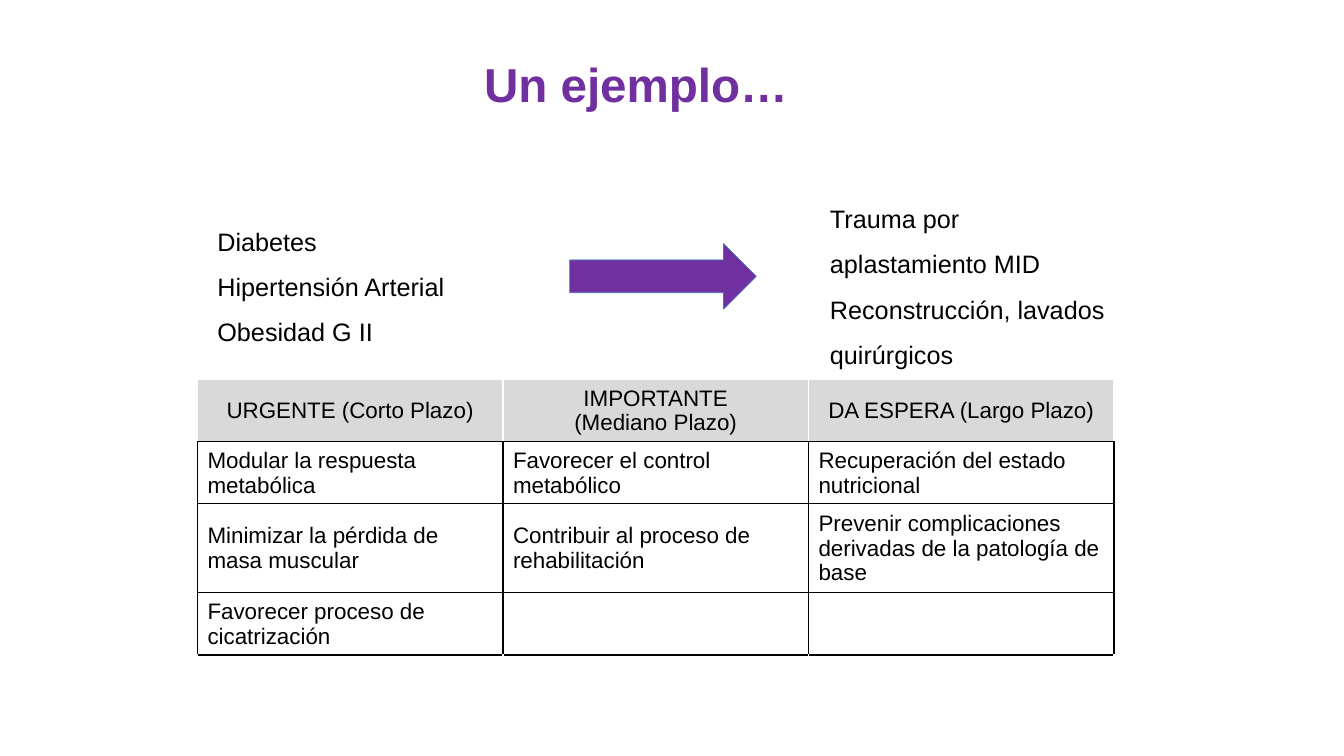
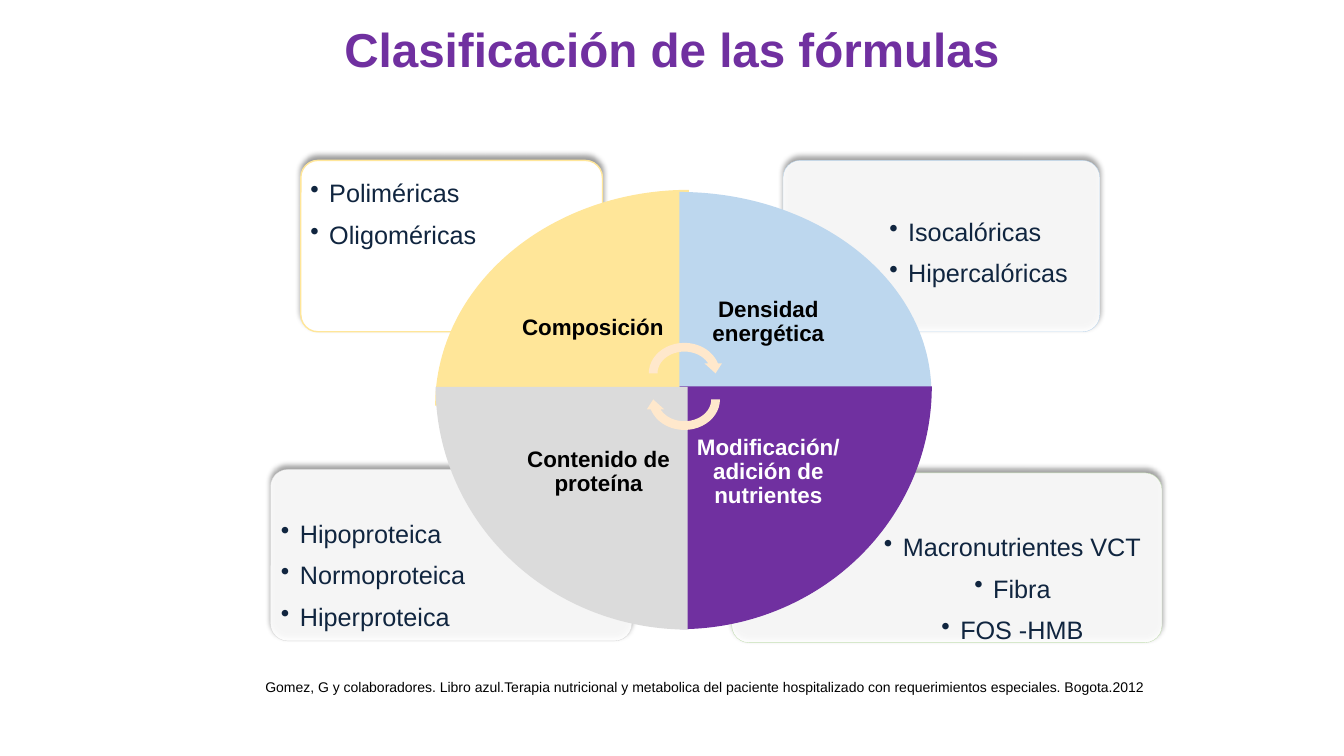
from dataclasses import dataclass
from typing import Optional

import lxml.etree
import pptx
import pptx.dml.color
import pptx.enum.shapes
import pptx.enum.text
import pptx.oxml.ns
import pptx.util

RGB = pptx.dml.color.RGBColor
SHAPE = pptx.enum.shapes.MSO_SHAPE
ALIGN = pptx.enum.text.PP_ALIGN
ANCHOR = pptx.enum.text.MSO_ANCHOR
Pt = pptx.util.Pt
qn = pptx.oxml.ns.qn

# Shared style
PURPLE = RGB(0x70, 0x30, 0xA0)
BLUE = RGB(0x44, 0x72, 0xC4)
NAVY = RGB(0x10, 0x25, 0x3F)
BLACK = RGB(0, 0, 0)
WHITE = RGB(0xFF, 0xFF, 0xFF)
HEADER_GREY = RGB(0xD9, 0xD9, 0xD9)
GREY = RGB(0xDB, 0xDB, 0xDB)
YELLOW = RGB(0xFF, 0xE6, 0x99)
SKY = RGB(0xBD, 0xD7, 0xEE)
GREEN = RGB(0xC5, 0xE0, 0xB4)
CREAM = RGB(0xFF, 0xE8, 0xCC)
FONT = "Arial"

# Square grid: 160 columns by 90 rows
WIDTH, HEIGHT = pptx.util.Inches(13.33), pptx.util.Inches(7.5)
UNIT = HEIGHT / 90
HANG = 2.25


def grid(n: float) -> int:
    return int(n * UNIT)


@dataclass(frozen=True)
class Box:
    x: float
    y: float
    w: float
    h: float

    def emu(self) -> tuple:
        return tuple(grid(n) for n in (self.x, self.y, self.w, self.h))


@dataclass(frozen=True)
class Panel:
    box: Box
    line: RGB
    text_box: Box
    items: tuple
    align: ALIGN = ALIGN.LEFT
    anchor: ANCHOR = ANCHOR.TOP
    line_width: float = 0.25
    opacity: int = 90


@dataclass(frozen=True)
class Wedge:
    box: Box
    rotation: int
    fill: RGB
    label_box: Box
    label: str
    color: RGB = BLACK
    align: ALIGN = ALIGN.CENTER


PANELS = (
    Panel(Box(87.1, 56.3, 51.2, 20.2), GREEN, Box(103, 61.7, 35, 14.2),
          ("Macronutrientes VCT", "Fibra", "FOS -HMB"), align=ALIGN.CENTER),
    Panel(Box(32.2, 55.9, 43, 20.4), GREY, Box(32.6, 61.6, 29.2, 14.4),
          ("Hipoproteica", "Normoproteica", "Hiperproteica"),
          anchor=ANCHOR.BOTTOM),
    Panel(Box(93.2, 19.1, 37.7, 20.4), SKY, Box(105, 24.2, 25.6, 9.8),
          ("Isocalóricas", "Hipercalóricas")),
    Panel(Box(35.8, 19.1, 35.9, 20.4), YELLOW, Box(36.1, 19.6, 24.2, 14.4),
          ("Poliméricas", "Oligoméricas"), line_width=1, opacity=100),
)

WEDGES = (
    Wedge(Box(51.8, 22.6, 30.2, 25.7), 0, YELLOW,
          Box(60.7, 30, 21.4, 18.2), "Composición", align=ALIGN.LEFT),
    Wedge(Box(83.9, 19.8, 23.9, 30), 90, SKY,
          Box(80.9, 29.9, 21.1, 16.9), "Densidad energética"),
    Wedge(Box(80.9, 46, 30, 28.9), 180, PURPLE,
          Box(80.9, 46, 21.1, 20.5), "Modificación/adición de nutrientes",
          color=WHITE),
    Wedge(Box(52.4, 45.5, 28.9, 30), 270, GREY,
          Box(60.7, 46, 21.1, 20.5), "Contenido de proteína"),
)

TABLE_ROWS = (
    ("URGENTE (Corto Plazo)", "IMPORTANTE\n(Mediano Plazo)",
     "DA ESPERA (Largo Plazo)"),
    ("Modular la respuesta metabólica", "Favorecer el control metabólico",
     "Recuperación del estado nutricional"),
    ("Minimizar la pérdida de masa muscular",
     "Contribuir al proceso de rehabilitación",
     "Prevenir complicaciones derivadas de la patología de base"),
    ("Favorecer proceso de cicatrización", "", ""),
    ("", "", ""),
)
ROW_HEIGHTS = (7.25, 7.25, 10.6, 7.3, 3.6)
COLUMN_WIDTH = 36.36


def write(tf, text: str, *, size: float, color: RGB = BLACK,
          bold: bool = False, align: ALIGN = ALIGN.LEFT, spacing: float = 1,
          after: float = 0, bullet: bool = False) -> None:
    """Put each line of text in its own formatted paragraph."""
    for i, line in enumerate(text.split("\n")):
        p = tf.paragraphs[0] if i == 0 else tf.add_paragraph()
        p.alignment, p.line_spacing, p.space_after = align, spacing, Pt(after)
        if bullet:
            pPr = p._p.get_or_add_pPr()
            pPr.set("marL", str(grid(HANG)))
            pPr.set("indent", str(-grid(HANG)))
            lxml.etree.SubElement(pPr, qn("a:buChar")).set("char", "•")
        r = p.add_run()
        r.text = line
        r.font.name, r.font.size, r.font.bold = FONT, Pt(size), bold
        r.font.color.rgb = color


def add_text(s, box: Box, text: str, *, inset: Optional[float] = None,
             anchor: ANCHOR = ANCHOR.TOP, **style) -> None:
    tf = s.shapes.add_textbox(*box.emu()).text_frame
    tf.word_wrap = True
    tf.vertical_anchor = anchor
    if inset is not None:
        tf.margin_left = tf.margin_right = grid(inset)
        tf.margin_top = tf.margin_bottom = grid(inset)
    write(tf, text, **style)


def add_title(s, box: Box, text: str) -> None:
    add_text(s, box, text, size=34, color=PURPLE, bold=True,
             align=ALIGN.CENTER, spacing=0.9)


def add_shape(s, kind: SHAPE, box: Box, fill: RGB, *, rotation: float = 0,
              line: Optional[RGB] = None, line_width: float = 0.5):
    sp = s.shapes.add_shape(kind, *box.emu())
    sp.shadow.inherit = False
    sp.rotation = rotation
    sp.fill.solid()
    sp.fill.fore_color.rgb = fill
    if line is None:
        sp.line.fill.background()
    else:
        sp.line.color.rgb = line
        sp.line.width = Pt(line_width)
    return sp


def set_alpha(color_element, percent: int) -> None:
    alpha = lxml.etree.SubElement(color_element, qn("a:alpha"))
    alpha.set("val", str(percent * 1000))


def add_panel(s, panel: Panel) -> None:
    sp = add_shape(s, SHAPE.ROUNDED_RECTANGLE, panel.box, WHITE,
                   line=panel.line, line_width=panel.line_width)
    sp.adjustments[0] = 0.1
    spPr = sp._element.spPr
    if panel.opacity < 100:
        set_alpha(spPr.find(qn("a:solidFill"))[0], panel.opacity)
    # Soft shadow cast upwards
    shadow = lxml.etree.SubElement(spPr.find(qn("a:effectLst")),
                                   qn("a:outerShdw"))
    for name, value in (("blurRad", Pt(4)), ("dist", Pt(3)),
                        ("dir", 270 * 60000), ("rotWithShape", 0)):
        shadow.set(name, str(int(value)))
    tint = lxml.etree.SubElement(shadow, qn("a:srgbClr"))
    tint.set("val", str(BLACK))
    set_alpha(tint, 40)
    add_text(s, panel.text_box, "\n".join(panel.items), inset=0.84,
             anchor=panel.anchor, size=18, color=NAVY, align=panel.align,
             spacing=1.2, after=3.7, bullet=True)


def add_wedge(s, wedge: Wedge) -> None:
    add_shape(s, SHAPE.PIE_WEDGE, wedge.box, wedge.fill,
              rotation=wedge.rotation)
    add_text(s, wedge.label_box, wedge.label, inset=1.44,
             anchor=ANCHOR.MIDDLE, size=16, color=wedge.color, bold=True,
             align=wedge.align, spacing=0.9)


def set_borders(cell, **colors: RGB) -> None:
    tcPr = cell._tc.get_or_add_tcPr()
    for i, side in enumerate(("L", "R", "T", "B")):
        ln = lxml.etree.Element(qn("a:ln" + side))
        ln.set("w", str(Pt(1)))
        fill = lxml.etree.SubElement(ln, qn("a:solidFill"))
        color = lxml.etree.SubElement(fill, qn("a:srgbClr"))
        color.set("val", str(colors.get(side, BLACK)))
        tcPr.insert(i, ln)


def add_goal_table(s, x: float, y: float) -> None:
    n_rows, n_cols = len(TABLE_ROWS), len(TABLE_ROWS[0])
    box = Box(x, y, COLUMN_WIDTH * n_cols, sum(ROW_HEIGHTS))
    table = s.shapes.add_table(n_rows, n_cols, *box.emu()).table
    table.first_row = table.horz_banding = False
    for column in table.columns:
        column.width = grid(COLUMN_WIDTH)
    for i, (texts, height) in enumerate(zip(TABLE_ROWS, ROW_HEIGHTS)):
        table.rows[i].height = grid(height)
        header, last = i == 0, i == n_rows - 1
        borders = {}
        if header:
            borders = dict(L=WHITE, R=WHITE, T=WHITE)
        elif last:
            borders = dict(L=WHITE, R=WHITE, B=WHITE)
        for j, text in enumerate(texts):
            cell = table.cell(i, j)
            cell.fill.solid()
            cell.fill.fore_color.rgb = HEADER_GREY if header else WHITE
            cell.vertical_anchor = ANCHOR.MIDDLE
            cell.margin_top = cell.margin_bottom = grid(0.5)
            set_borders(cell, **borders)
            if text:
                write(cell.text_frame, text, size=16,
                      align=ALIGN.CENTER if header else ALIGN.LEFT)


def build_example(s) -> None:
    add_title(s, Box(15.7, 6.7, 120, 11.3), "Un ejemplo…")
    add_text(s, Box(24.7, 24.5, 35.3, 16.9),
             "Diabetes\nHipertensión Arterial\nObesidad G II",
             size=18, spacing=1.5)
    add_text(s, Box(97.6, 21.8, 35.3, 22.3),
             "Trauma por aplastamiento MID\n"
             "Reconstrucción, lavados quirúrgicos", size=18, spacing=1.5)
    add_shape(s, SHAPE.RIGHT_ARROW, Box(67.8, 29, 22.2, 7.8), PURPLE,
              line=BLUE)
    add_goal_table(s, 23.5, 45.2)


def build_classification(s) -> None:
    add_title(s, Box(20, 2.5, 120, 11.9), "Clasificación de las fórmulas")
    for panel in PANELS:
        add_panel(s, panel)
    for wedge in WEDGES:
        add_wedge(s, wedge)
    # Turning arrows at the hub
    for y, rotation in ((40.3, 0), (43.4, 180)):
        add_shape(s, SHAPE.CIRCULAR_ARROW, Box(76.7, y, 9.5, 8.3), CREAM,
                  rotation=rotation)
    # Reference
    sp = add_shape(s, SHAPE.RECTANGLE, Box(30.4, 80.2, 119.3, 3.2), WHITE)
    sp.text_frame.word_wrap = True
    write(sp.text_frame,
          "Gomez, G y colaboradores. Libro azul.Terapia nutricional y "
          "metabolica del paciente hospitalizado con requerimientos "
          "especiales. Bogota.2012", size=10)


def main() -> None:
    prs = pptx.Presentation()
    prs.slide_width, prs.slide_height = WIDTH, HEIGHT
    for build in (build_example, build_classification):
        build(prs.slides.add_slide(prs.slide_layouts[6]))
    prs.save("out.pptx")


if __name__ == "__main__":
    main()
